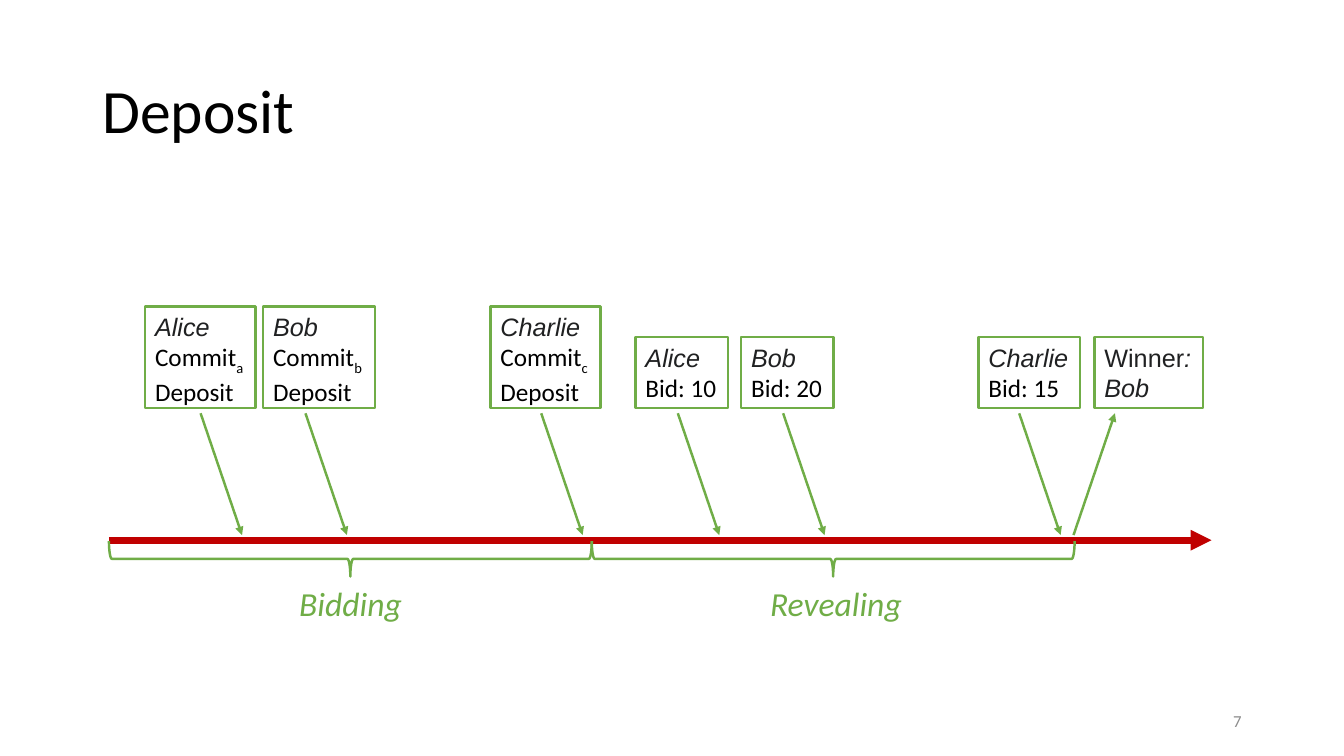
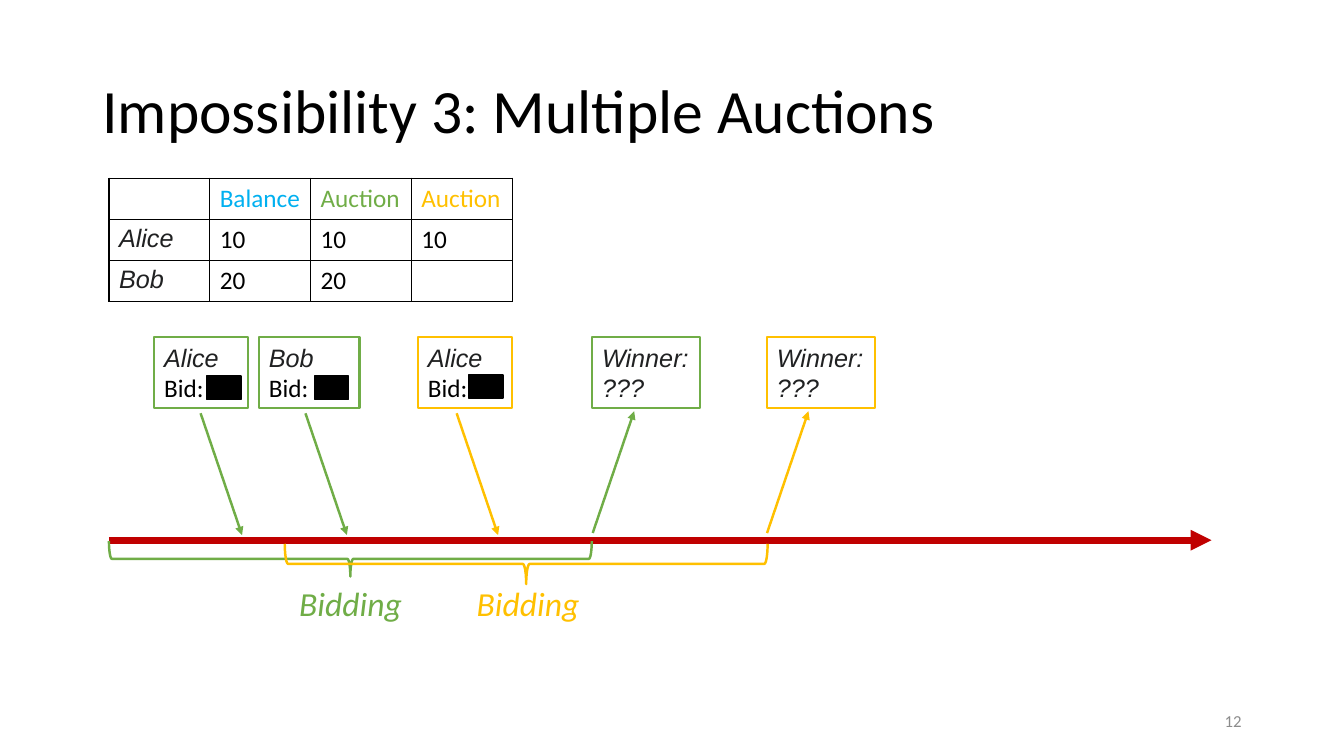
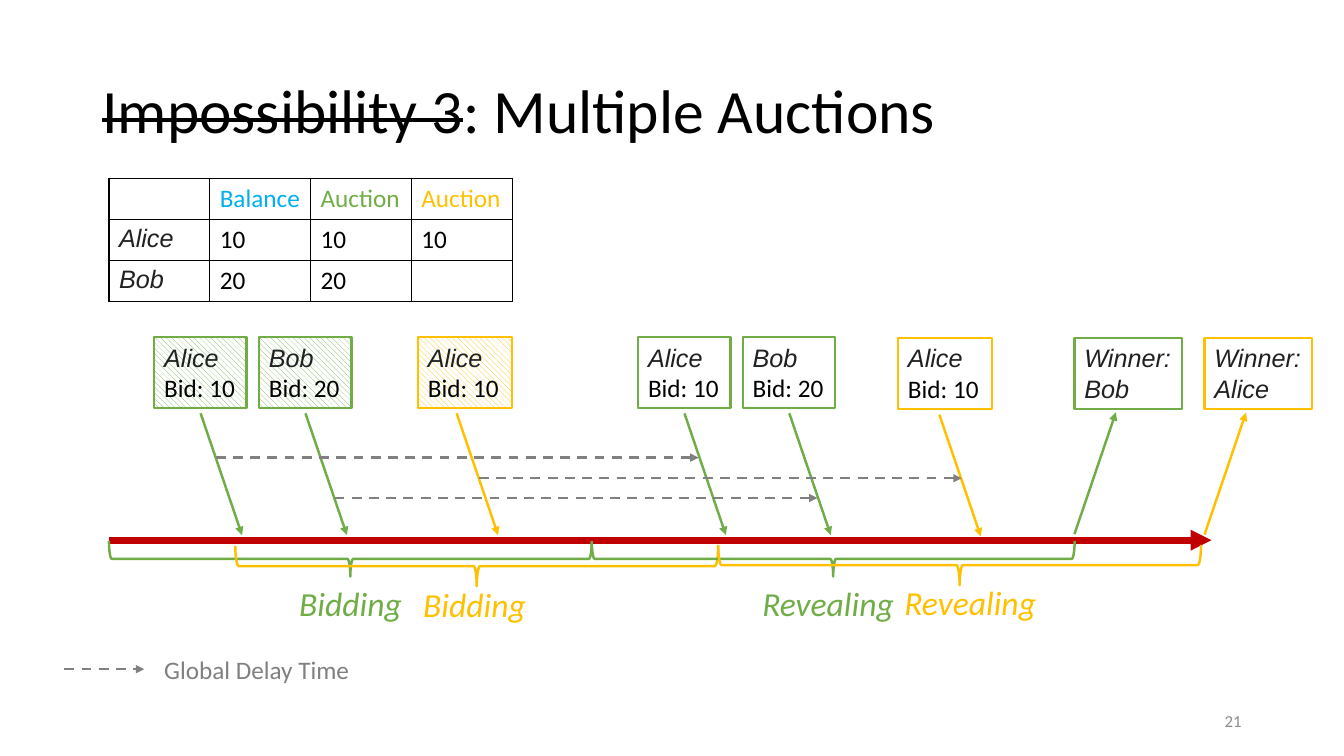
from dataclasses import dataclass

from lxml.etree import SubElement
from pptx import Presentation
from pptx.dml.color import RGBColor
from pptx.enum.dml import MSO_LINE, MSO_PATTERN
from pptx.enum.shapes import MSO_CONNECTOR, MSO_SHAPE
from pptx.enum.text import MSO_ANCHOR, MSO_AUTO_SIZE, PP_ALIGN
from pptx.oxml.ns import qn
from pptx.presentation import Presentation as Deck
from pptx.slide import Slide
from pptx.text.text import TextFrame
from pptx.util import Pt

GREEN, AMBER, RED, BLUE = "70AD47", "FFC000", "C00000", "00B0F0"
BLACK, INK, GRAY, PALE_GRAY, WHITE = "000000", "202122", "808080", "8C8C8C", "FFFFFF"
LINE_WIDTH = 1.75
AXIS_LEFT, AXIS_RIGHT, AXIS_Y = 77.8, 865.4, 385.9
PHASE_WIDTH = 344.9
REVEAL_LEFT = AXIS_LEFT + PHASE_WIDTH
BOX_BOTTOM = 291.6
ARROW_TOP, ARROW_RUN, ARROW_HEIGHT = 295.2, 29.6, 87


@dataclass(frozen=True)
class Span:
    text: str
    size: float = 18
    font: str = "Calibri"
    colour: str = BLACK
    italic: bool = False
    subscript: bool = False
    strike: bool = False


Line = tuple[Span, ...]


@dataclass(frozen=True)
class Message:
    left: float
    width: float
    lines: tuple[Line, ...]
    arrow_left: float
    colour: str = GREEN
    rising: bool = False
    hatched: bool = False
    drop: float = 0
    arrow_drop: float = 0


@dataclass(frozen=True)
class Phase:
    left: float
    label: str
    label_left: float
    colour: str = GREEN
    top: float = 386.6
    depth: float = 25.2
    label_top: float = 412.6


@dataclass(frozen=True)
class Delay:
    left: float
    top: float
    width: float = PHASE_WIDTH


def rgb(colour: str) -> RGBColor:
    return RGBColor.from_string(colour)


def serif_free(text: str, italic: bool = True) -> Span:
    return Span(text, font="Arial", colour=INK, italic=italic)


def commit(name: str, index: str) -> tuple[Line, ...]:
    return (serif_free(name),), (Span("Commit"), Span(index, subscript=True)), (Span("Deposit"),)


def bid(name: str, amount: str = "") -> tuple[Line, ...]:
    return (serif_free(name),), (Span(f"Bid: {amount}".strip()),)


def winner(name: str) -> tuple[Line, ...]:
    return (serif_free("Winner:"),), (serif_free(name),)


def write(frame: TextFrame, lines: tuple[Line, ...], align: PP_ALIGN = PP_ALIGN.LEFT) -> None:
    for index, line in enumerate(lines):
        para = frame.add_paragraph() if index else frame.paragraphs[0]
        para.alignment = align
        for part in line:
            span = para.add_run()
            span.text = part.text
            font = span.font
            font.size, font.name = Pt(part.size), part.font
            font.bold, font.italic = False, part.italic
            font.color.rgb = rgb(part.colour)
            if part.subscript:
                font._element.set("baseline", "-25000")
            if part.strike:
                font._element.set("strike", "sngStrike")


def add_text(slide: Slide, left: float, top: float, width: float, height: float,
             part: Span, align: PP_ALIGN = PP_ALIGN.LEFT) -> TextFrame:
    box = slide.shapes.add_textbox(Pt(left), Pt(top), Pt(width), Pt(height))
    box.text_frame.word_wrap = True
    write(box.text_frame, ((part,),), align)
    return box.text_frame


def add_arrow(slide: Slide, start: tuple[float, float], end: tuple[float, float],
              colour: str, width: float = LINE_WIDTH, dashed: bool = False) -> None:
    arrow = slide.shapes.add_connector(
        MSO_CONNECTOR.STRAIGHT, *(Pt(value) for value in (*start, *end)))
    arrow.line.color.rgb = rgb(colour)
    arrow.line.width = Pt(width)
    if dashed:
        arrow.line.dash_style = MSO_LINE.DASH
    SubElement(arrow.get_or_add_ln(), qn("a:tailEnd"), type="triangle")
    SubElement(arrow._element.spPr, qn("a:effectLst"))


def add_phase(slide: Slide, phase: Phase) -> None:
    middle = phase.left + PHASE_WIDTH / 2
    brace = slide.shapes.add_shape(
        MSO_SHAPE.LEFT_BRACE, Pt(middle - phase.depth / 2),
        Pt(phase.top + phase.depth / 2 - PHASE_WIDTH / 2), Pt(phase.depth), Pt(PHASE_WIDTH))
    brace.rotation = 270
    brace.shadow.inherit = False
    brace.fill.background()
    brace.line.color.rgb = rgb(phase.colour)
    brace.line.width = Pt(LINE_WIDTH)
    frame = add_text(slide, phase.label_left, phase.label_top, 110, 36,
                     Span(phase.label, size=24, colour=phase.colour, italic=True))
    frame.margin_right = Pt(0)


def add_message(slide: Slide, message: Message) -> None:
    height = 51 + 21.7 * (len(message.lines) - 2)
    box = slide.shapes.add_shape(
        MSO_SHAPE.RECTANGLE, Pt(message.left), Pt(BOX_BOTTOM + message.drop - height),
        Pt(message.width), Pt(height))
    box.shadow.inherit = False
    if message.hatched:
        box.fill.patterned()
        box.fill.pattern = MSO_PATTERN.WIDE_DOWNWARD_DIAGONAL
        box.fill.fore_color.rgb = rgb(message.colour)
        box.fill.back_color.rgb = rgb(WHITE)
    else:
        box.fill.background()
    box.line.color.rgb = rgb(message.colour)
    box.line.width = Pt(LINE_WIDTH)
    frame = box.text_frame
    frame.word_wrap = True
    frame.auto_size = MSO_AUTO_SIZE.SHAPE_TO_FIT_TEXT
    frame.vertical_anchor = MSO_ANCHOR.TOP
    frame.margin_right = Pt(0)
    write(frame, message.lines)

    top = ARROW_TOP + message.arrow_drop
    bottom = top + ARROW_HEIGHT
    first, last = (bottom, top) if message.rising else (top, bottom)
    add_arrow(slide, (message.arrow_left, first),
              (message.arrow_left + ARROW_RUN, last), message.colour)


def add_redaction(slide: Slide, left: float, top: float) -> None:
    bar = slide.shapes.add_shape(MSO_SHAPE.RECTANGLE, Pt(left), Pt(top), Pt(24.5), Pt(16.6))
    bar.shadow.inherit = False
    bar.fill.solid()
    bar.fill.fore_color.rgb = rgb(BLACK)
    bar.line.color.rgb = rgb(BLACK)
    bar.line.width = Pt(1)


def add_balances(slide: Slide) -> None:
    header = (None, Span("Balance", colour=BLUE), Span("Auction", colour=GREEN),
              Span("Auction", colour=AMBER))
    rows = (header,
            (serif_free("Alice"), Span("10"), Span("10"), Span("10")),
            (serif_free("Bob"), Span("20"), Span("20"), None))
    table = slide.shapes.add_table(
        len(rows), len(header), Pt(77.8), Pt(127.4), Pt(288), Pt(87.9)).table
    table.first_row = table.horz_banding = False
    for column in table.columns:
        column.width = Pt(72)
    for row_index, row in enumerate(rows):
        table.rows[row_index].height = Pt(29.3)
        for column_index, part in enumerate(row):
            cell = table.cell(row_index, column_index)
            cell.margin_right = Pt(0)
            if part:
                write(cell.text_frame, ((part,),))
            properties = cell._tc.get_or_add_tcPr()
            for side in ("L", "R", "T", "B"):
                border = SubElement(properties, qn(f"a:ln{side}"), w=str(Pt(1)))
                SubElement(SubElement(border, qn("a:solidFill")), qn("a:srgbClr"), val=BLACK)
            cell.fill.background()


def add_page(deck: Deck, number: str, heading: Line, phases: tuple[Phase, ...],
             messages: tuple[Message, ...]) -> Slide:
    slide = deck.slides.add_slide(deck.slide_layouts[5])
    title = slide.shapes.title
    title.left, title.top, title.width, title.height = Pt(66), Pt(28.8), Pt(828), Pt(104.4)
    frame = title.text_frame
    frame.vertical_anchor = MSO_ANCHOR.MIDDLE
    frame.auto_size = MSO_AUTO_SIZE.NONE
    write(frame, (heading,))
    frame.paragraphs[0].line_spacing = 0.9
    footer = add_text(slide, 678, 500.5, 216, 28.8,
                      Span(number, size=12, colour=PALE_GRAY), PP_ALIGN.RIGHT)
    footer.vertical_anchor = MSO_ANCHOR.MIDDLE
    add_arrow(slide, (AXIS_LEFT, AXIS_Y), (AXIS_RIGHT, AXIS_Y), RED, 5)
    for phase in phases:
        add_phase(slide, phase)
    for message in messages:
        add_message(slide, message)
    return slide


def main() -> None:
    deck = Presentation()
    deck.slide_width, deck.slide_height = Pt(960), Pt(540)
    bidding = Phase(AXIS_LEFT, "Bidding", 206.6)

    add_page(
        deck, "7", (Span("Deposit", size=44),),
        (bidding, Phase(REVEAL_LEFT, "Revealing", 543)),
        (Message(103.7, 79, commit("Alice", "a"), 143.3),
         Message(188, 80, commit("Bob", "b"), 218.2),
         Message(350.4, 78.5, commit("Charlie", "c"), 386.6),
         Message(454, 66, bid("Alice", "10"), 484.2),
         Message(529.5, 66, bid("Bob", "20"), 559.4),
         Message(699, 72.5, bid("Charlie", "15"), 728),
         Message(781.8, 77.5, ((serif_free("Winner", False), serif_free(":")),
                               (serif_free("Bob"),)), 766.8, rising=True)))

    sealed = add_page(
        deck, "12", (Span("Impossibility 3: Multiple Auctions", size=44),),
        (bidding, Phase(203.4, "Bidding", 333.4, AMBER, 388.4, 28.8)),
        (Message(110.2, 67, bid("Alice"), 143.3),
         Message(185, 72, bid("Bob"), 218.2),
         Message(298.6, 67, bid("Alice"), 326.2, AMBER),
         Message(423, 77, winner("???"), 423.4, rising=True, arrow_drop=-1.5),
         Message(547.9, 77, winner("???"), 547.9, AMBER, rising=True, arrow_drop=-1.4)))
    for left, top in ((147.6, 268.6), (224.6, 268.6), (334.8, 267.8)):
        add_redaction(sealed, left, top)
    add_balances(sealed)

    delayed = add_page(
        deck, "21",
        (Span("Impossibility 3", size=44, strike=True), Span(": Multiple Auctions", size=44)),
        (bidding, Phase(168.1, "Bidding", 295.2, AMBER, 389.9, 28.8, 413.6),
         Phase(REVEAL_LEFT, "Revealing", 537.4),
         Phase(513, "Revealing", 638.9, AMBER, 389.2, 28.8, 412.2)),
        (Message(298.6, 67, bid("Alice", "10"), 326.2, AMBER, hatched=True),
         Message(110.2, 66, bid("Alice", "10"), 143.3, hatched=True),
         Message(455.8, 66, bid("Alice", "10"), 488.9),
         Message(185, 66, bid("Bob", "20"), 218.2, hatched=True),
         Message(530.6, 66, bid("Bob", "20"), 563.8),
         Message(641.5, 67, bid("Alice", "10"), 671, AMBER, drop=0.7, arrow_drop=1),
         Message(767.5, 77, winner("Bob"), 767.5, rising=True, drop=0.7, arrow_drop=-0.7),
         Message(860.4, 77, winner("Alice"), 860.4, AMBER, rising=True, drop=0.7,
                 arrow_drop=-0.4)))
    for delay in (Delay(154.1, 326.9), Delay(239, 355.7), Delay(342, 341.6),
                  Delay(46, 478, 57)):
        add_arrow(delayed, (delay.left, delay.top), (delay.left + delay.width, delay.top),
                  GRAY, dashed=True)
    add_text(delayed, 110.2, 463.7, 160, 29, Span("Global Delay Time", colour=GRAY))
    add_balances(delayed)

    deck.save("out.pptx")


if __name__ == "__main__":
    main()
